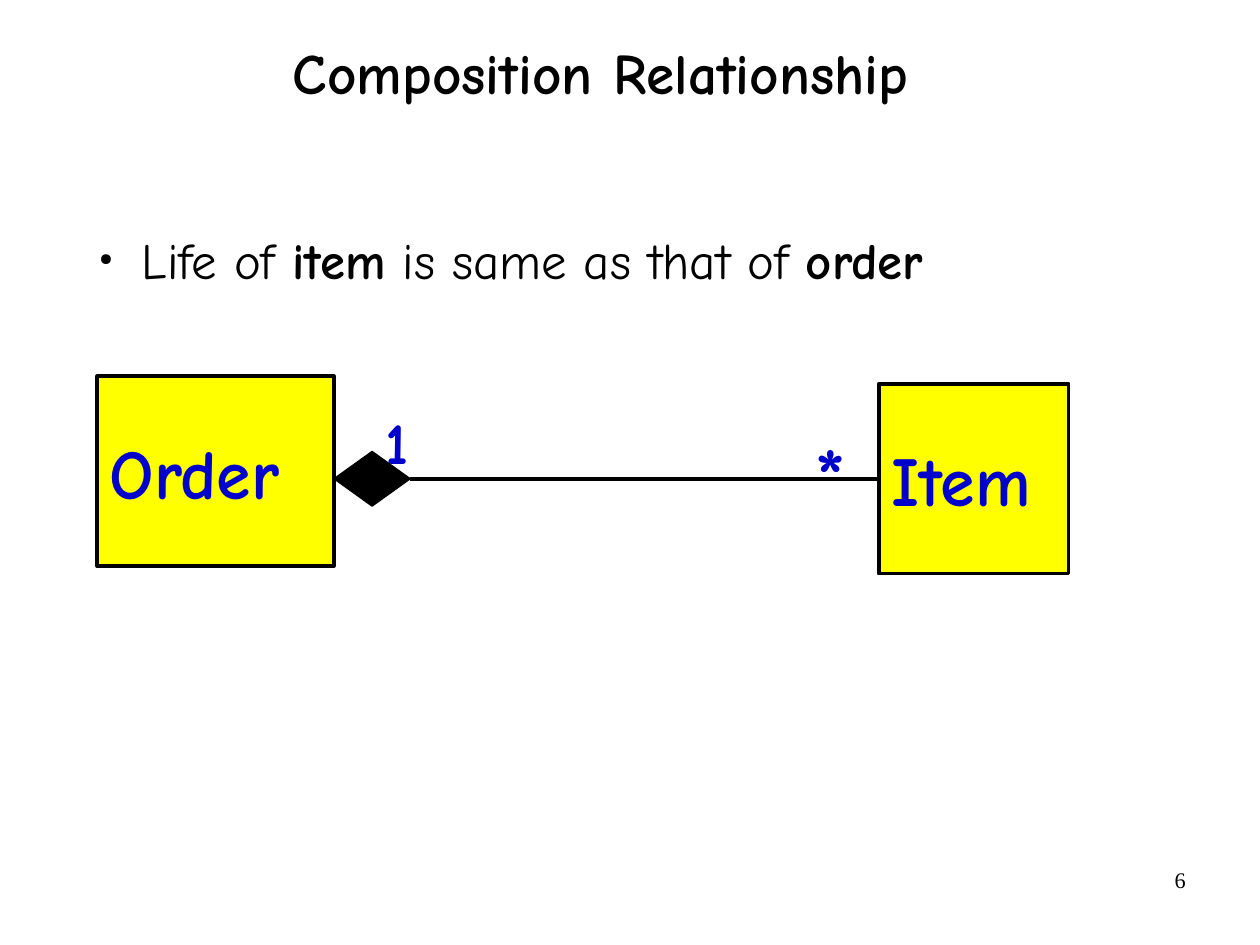
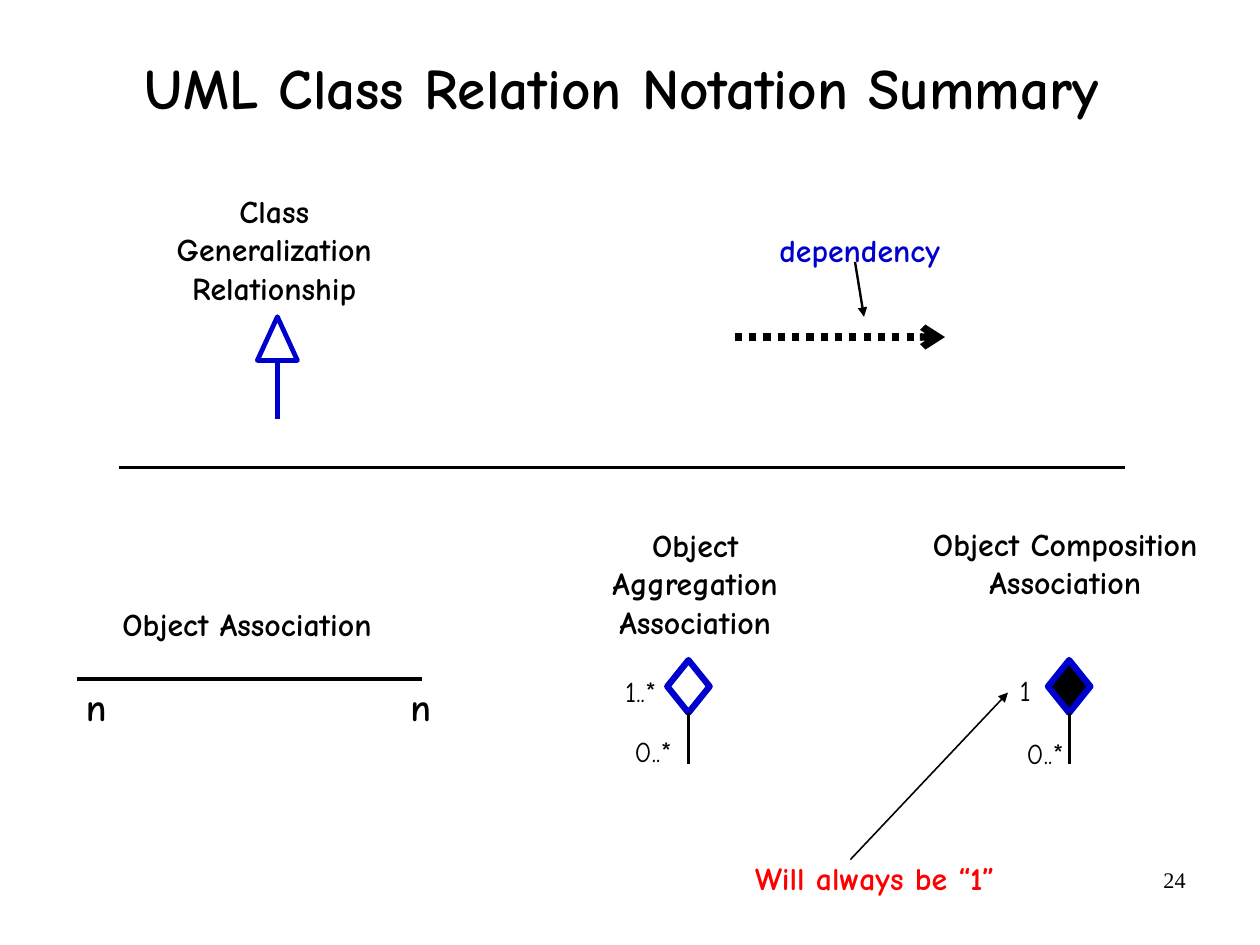
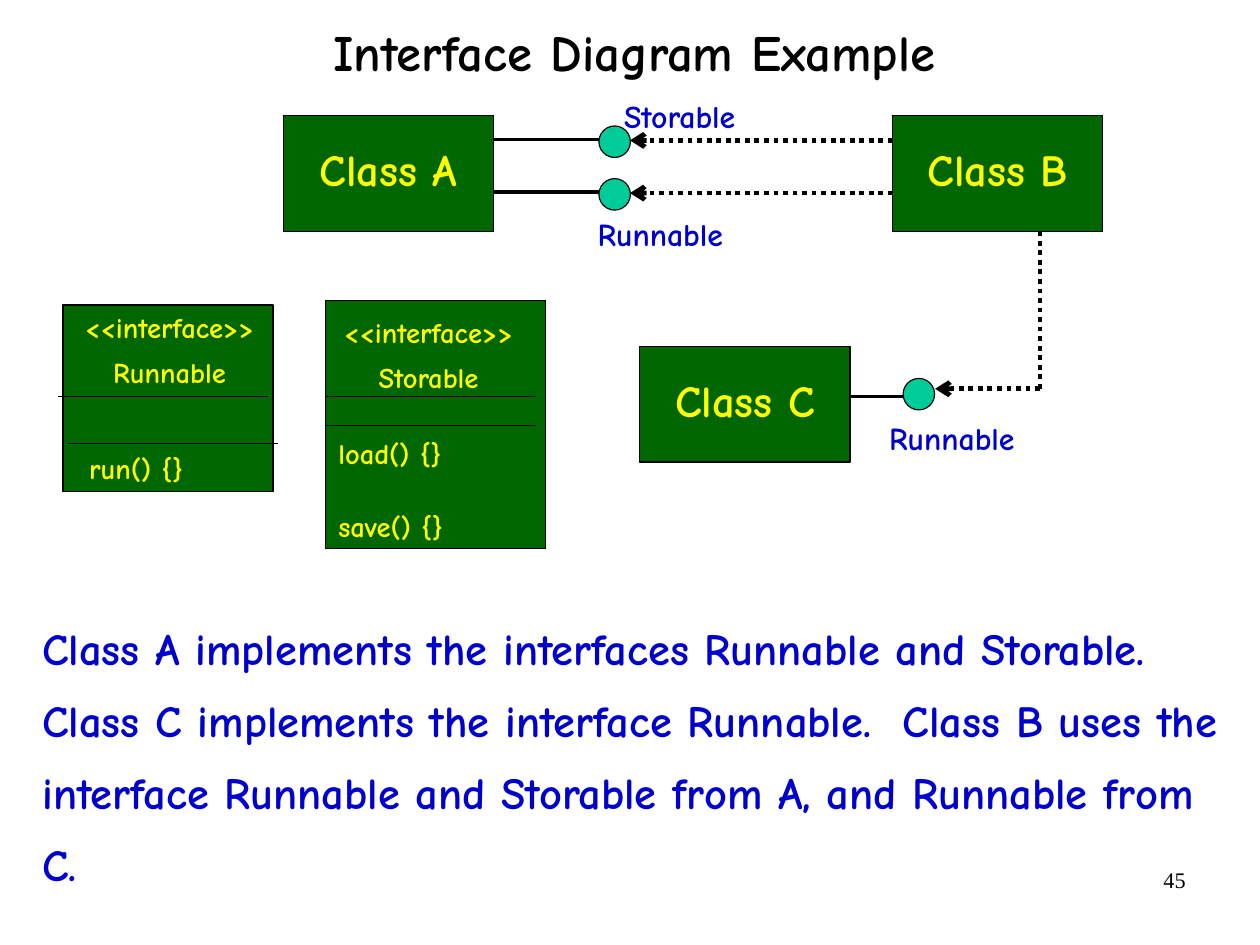
from dataclasses import dataclass

import pptx
import pptx.dml.color
import pptx.enum.dml
import pptx.enum.shapes
import pptx.enum.text
import pptx.oxml
import pptx.oxml.ns
import pptx.util
from lxml import etree

Cm = pptx.util.Cm
Pt = pptx.util.Pt
Shape = pptx.enum.shapes.MSO_SHAPE
Align = pptx.enum.text.PP_ALIGN
Anchor = pptx.enum.text.MSO_ANCHOR
qn = pptx.oxml.ns.qn


@dataclass(frozen=True)
class Theme:
    font: str = "Comic Neue"
    number_font: str = "Times New Roman"
    black: str = "000000"
    white: str = "FFFFFF"
    blue: str = "0000CC"
    yellow: str = "FFFF00"
    red: str = "FF0000"
    green: str = "006600"
    teal: str = "00CC99"
    title: int = 36
    body: int = 32
    entity: int = 44
    one: int = 37
    star: int = 50
    heading: int = 28
    letter: int = 24
    label: int = 20
    small: int = 18
    number: int = 14


theme = Theme()


def put(page, box, lines=(), preset=None, fill=None, outline=theme.black, width=0.75,
        size=theme.label, color=theme.black, bold=True, font=theme.font,
        align=Align.LEFT, anchor=Anchor.TOP, spacing=1.0, before=0, wrap=True,
        inset=(0.28, 0.15)):
    """Add a preset shape, or a text box when no preset is given."""
    place = [Cm(length) for length in box]
    if preset is None:
        shape = page.shapes.add_textbox(*place)
    else:
        shape = page.shapes.add_shape(preset, *place)
        shape.shadow.inherit = False
        shape.fill.solid()
        shape.fill.fore_color.rgb = pptx.dml.color.RGBColor.from_string(fill)
        shape.line.color.rgb = pptx.dml.color.RGBColor.from_string(outline)
        shape.line.width = Pt(width)
    if not lines:
        return shape
    frame = shape.text_frame
    frame.word_wrap = wrap
    frame.vertical_anchor = anchor
    frame.margin_left = frame.margin_right = Cm(inset[0])
    frame.margin_top = frame.margin_bottom = Cm(inset[1])
    for index, text in enumerate(lines):
        para = frame.add_paragraph() if index else frame.paragraphs[0]
        para.add_run().text = text
        para.alignment = align
        para.line_spacing = spacing
        if index and before:
            para.space_before = Pt(before)
        para.font.name = font
        para.font.size = Pt(size)
        para.font.bold = bold
        para.font.color.rgb = pptx.dml.color.RGBColor.from_string(color)
    return shape


def draw(page, start, end, width, color=theme.black, dotted=False, arrow=None):
    """Add a straight line, with an optional arrowhead at its end."""
    line = page.shapes.add_connector(
        pptx.enum.shapes.MSO_CONNECTOR.STRAIGHT, *[Cm(length) for length in (*start, *end)])
    line.line.color.rgb = pptx.dml.color.RGBColor.from_string(color)
    line.line.width = Pt(width)
    if dotted:
        line.line.dash_style = pptx.enum.dml.MSO_LINE.ROUND_DOT
    properties = line._element.spPr
    if arrow:
        etree.SubElement(properties.find(qn("a:ln")), qn("a:tailEnd"), type=arrow)
    etree.SubElement(properties, qn("a:effectLst"))
    return line


deck = pptx.Presentation()
deck.slide_width, deck.slide_height = Cm(28), Cm(21)

# Titles and page numbers
pages = []
for number, title, box, size, spacing in (
    ("6", "Composition Relationship", (1.45, 0, 23.8, 3.33), theme.title, 0.94),
    ("24", "UML Class Relation Notation Summary", (1.32, 1.02, 25, 1.8), theme.title, 1.0),
    ("45", "Interface Diagram Example", (2.16, 0, 23.88, 2.46), theme.body, 0.88),
):
    page = deck.slides.add_slide(deck.slide_layouts[6])
    put(page, box, [title], size=size, align=Align.CENTER, anchor=Anchor.MIDDLE, spacing=spacing)
    put(page, (20.1, 19.1, 6.53, 1.45), [number], size=theme.number, bold=False,
        font=theme.number_font, align=Align.RIGHT)
    pages.append(page)
composition, notation, interfaces = pages

# Composition: bulleted statement
statement = put(composition, (2.16, 5.05, 23, 2.34), ["Life of "], size=theme.body, bold=False,
                spacing=0.94, inset=(0.05, 0.15))
para = statement.text_frame.paragraphs[0]
for text, bold in (("item", True), (" is same as that of ", False), ("order", True)):
    span = para.add_run()
    span.text = text
    if bold:
        span.font.bold = True
properties = para._p.get_or_add_pPr()
properties.set("marL", str(Cm(0.94)))
properties.set("indent", str(-Cm(0.94)))
default_font = properties.find(qn("a:defRPr"))
for tag, attribute, value in (("a:buSzPct", "val", "33000"), ("a:buChar", "char", "●")):
    bullet = etree.Element(qn(tag))
    bullet.set(attribute, value)
    default_font.addprevious(bullet)

# Composition: the two classes and their link
entity = dict(preset=Shape.RECTANGLE, fill=theme.yellow, width=2.25, size=theme.entity,
              color=theme.blue, anchor=Anchor.MIDDLE)
put(composition, (2.16, 8.36, 5.26, 4.22), ["Order"], **entity)
item = put(composition, (19.53, 8.53, 4.22, 4.22), ["Item"], **entity)
for text, box, size in (
    ("1", (8.56, 9.02, 0.51, 1.57), theme.one),
    ("*", (18.13, 9.45, 0.66, 2.11), theme.star),
):
    put(composition, box, [text], size=size, color=theme.blue, wrap=False, inset=(0, 0))
diamond = put(composition, (7.42, 10.03, 1.7, 1.22), preset=Shape.FLOWCHART_DECISION,
              fill=theme.black)
link = draw(composition, (9.12, 10.64), (19.53, 10.64), 2.25)
link.begin_connect(diamond, 3)
link.end_connect(item, 1)

# Notation: captions
for lines, box, color in (
    (["Class", "Generalization", "Relationship"], (3.33, 4.12, 5.53, 2.82), theme.black),
    (["dependency"], (17.04, 4.97, 4.55, 1.12), theme.blue),
    (["Object Association"], (2.44, 13.29, 7, 1.12), theme.black),
    (["Object", "Aggregation", "Association"], (13.03, 11.54, 4.84, 2.82), theme.black),
    (["Object Composition", "Association"], (20.1, 11.51, 7.15, 1.96), theme.black),
    (["Will always be “1”"], (16.5, 18.93, 6.6, 1.12), theme.red),
):
    several = len(lines) > 1
    put(notation, box, lines, color=color, align=Align.CENTER if several else Align.LEFT)

# Notation: multiplicities
for left in (1.63, 8.84):
    put(notation, (left, 15.04, 1.5, 1.3), ["n"], size=theme.letter)
for text, left, top in (
    ("1..*", 13.61, 14.83),
    ("0..*", 13.82, 16.15),
    ("1", 22.38, 14.81),
    ("0..*", 22.53, 16.2),
):
    put(notation, (left, top, 2, 1.04), [text], size=theme.small, bold=False)

# Notation: symbols
draw(notation, (6.16, 8.01), (6.16, 9.3), 3, theme.blue)
put(notation, (5.72, 7.04, 0.89, 0.97), preset=Shape.ISOSCELES_TRIANGLE, fill=theme.white,
    outline=theme.blue, width=3)
for left, fill in ((14.83, theme.white), (23.29, theme.black)):
    diamond = put(notation, (left, 14.67, 0.94, 1.17), preset=Shape.DIAMOND, fill=fill,
                  outline=theme.blue, width=4)
    middle = left + 0.47
    stem = draw(notation, (middle, 15.84), (middle, 16.98), 2)
    stem.begin_connect(diamond, 2)

# Notation: lines and arrows
draw(notation, (1.7, 15.09), (9.37, 15.09), 2)
draw(notation, (2.64, 10.39), (25, 10.39), 2.25)
draw(notation, (18.9, 19.1), (22.4, 15.39), 1, arrow="triangle")
draw(notation, (16.33, 7.49), (21, 7.49), 4.5, dotted=True, arrow="arrow")
draw(notation, (19, 5.82), (19.2, 7.04), 1.5, arrow="triangle")

# Interfaces: classes
for name, left, top in (("Class A", 6.3, 2.57), ("Class B", 19.84, 2.57), ("Class C", 14.22, 7.7)):
    put(interfaces, (left, top, 4.67, 2.57), [name], preset=Shape.RECTANGLE, fill=theme.green,
        size=theme.heading, color=theme.yellow, align=Align.CENTER, anchor=Anchor.MIDDLE,
        spacing=0.8)

# Interfaces: provided interfaces, each a line with a circle
for start, left, level, top in (
    (10.97, 13.31, 3.1, 2.8),
    (10.97, 13.31, 4.27, 3.97),
    (18.9, 20.07, 8.81, 8.41),
):
    draw(interfaces, (start, level), (left, level), 2.25)
    put(interfaces, (left, top, 0.7, 0.7), preset=Shape.OVAL, fill=theme.teal)
for name, left, top in (("Storable", 13.59, 2.16), ("Runnable", 13, 4.78), ("Runnable", 19.48, 9.33)):
    put(interfaces, (left, top, 4.67, 0.97), [name], color=theme.blue, spacing=0.8)

# Interfaces: uses by Class B
for start, end, arrow in (
    ((19.84, 3.12), (14, 3.12), "arrow"),
    ((19.84, 4.29), (14, 4.29), "arrow"),
    ((23.11, 5.14), (23.11, 8.64), None),
    ((23.11, 8.64), (20.78, 8.64), "arrow"),
):
    draw(interfaces, start, end, 3, dotted=True, arrow=arrow)

# Interfaces: the two interface cards
for name, card, header, rules, methods, body in (
    ("Runnable", (1.4, 6.78, 4.67, 4.14), (1.09, 6.89, 5.36, 1.9),
     ((1.3, 8.81), (1.52, 9.86)), ["run() {}"], (1.7, 10.02, 4.67, 0.86)),
    ("Storable", (7.24, 6.68, 4.88, 5.51), (7.01, 6.99, 5.03, 1.9),
     ((7.24, 8.81), (7.24, 9.45)), ["load() {}", "save() {}"], (7.24, 9.68, 4.98, 2.49)),
):
    put(interfaces, card, preset=Shape.RECTANGLE, fill=theme.green)
    for left, level in rules:
        draw(interfaces, (left, level), (left + 4.66, level), 0.75)
    put(interfaces, header, ["<<interface>>", name], size=theme.small, color=theme.yellow,
        align=Align.CENTER, spacing=0.8, before=11.2)
    put(interfaces, body, methods, size=theme.small, color=theme.yellow, spacing=0.8, before=29)

# Interfaces: explanation
put(interfaces, (0.66, 13.24, 26.87, 6.68),
    ["Class A implements the interfaces Runnable and Storable.  Class C implements the "
     "interface Runnable.  Class B uses the interface Runnable and Storable from A, and "
     "Runnable from C."],
    size=theme.heading, color=theme.blue, spacing=1.35)

deck.save("out.pptx")
